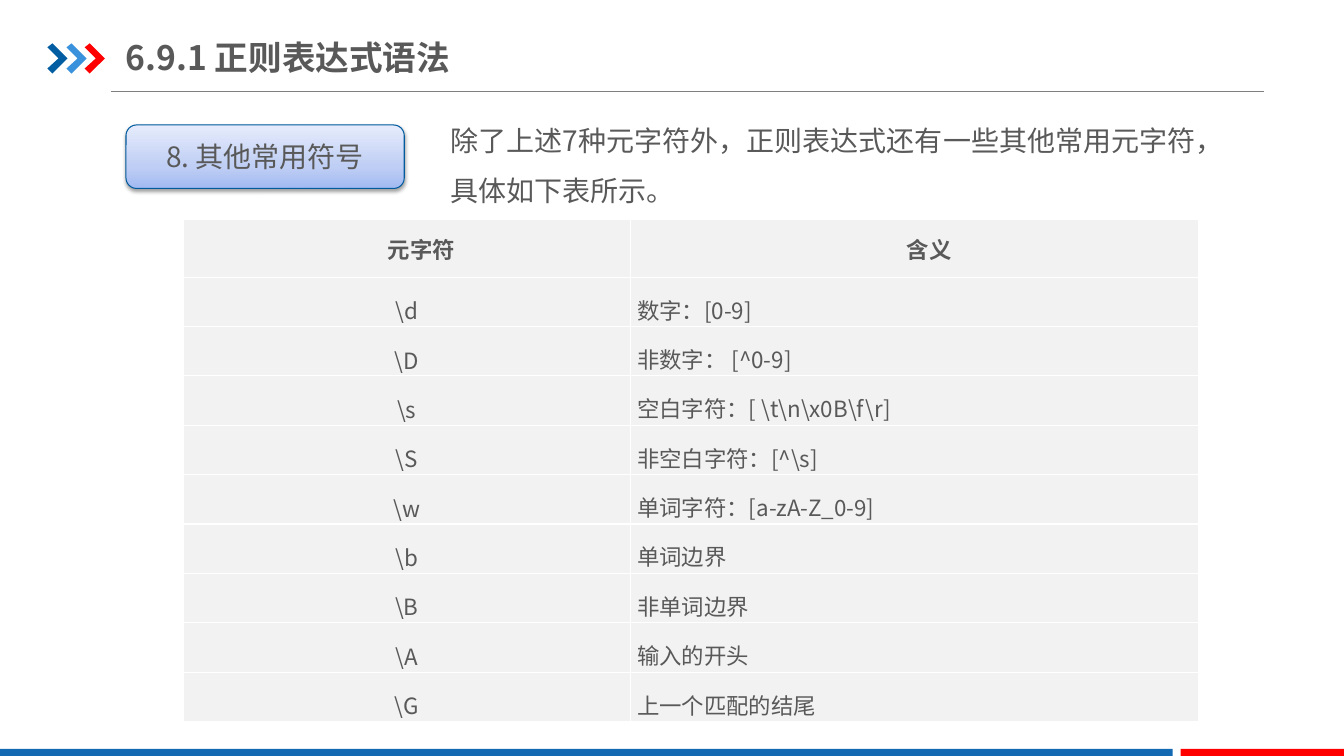
from dataclasses import dataclass

from lxml import etree
from pptx import Presentation
from pptx.dml.color import RGBColor
from pptx.enum.shapes import MSO_CONNECTOR, MSO_SHAPE
from pptx.enum.text import MSO_ANCHOR, PP_ALIGN
from pptx.oxml.ns import qn
from pptx.util import Inches, Pt

RECTANGLE = MSO_SHAPE.RECTANGLE
ROUNDED = MSO_SHAPE.ROUNDED_RECTANGLE
STRAIGHT = MSO_CONNECTOR.STRAIGHT
MIDDLE = MSO_ANCHOR.MIDDLE
TOP = MSO_ANCHOR.TOP
LEFT = PP_ALIGN.LEFT
CENTER = PP_ALIGN.CENTER


@dataclass(frozen=True)
class Theme:
    font: str = "Noto Sans CJK SC"
    text: str = "595959"
    rule: str = "808080"
    navy: str = "005DA2"
    sky: str = "3992DB"
    red: str = "FF0000"
    footer_blue: str = "1369B2"
    badge_line: str = "005B9E"
    badge_stops: tuple = ((0, "A2BAF2"), (35, "BFCEF4"), (100, "E6ECFC"))
    shadow: str = "000000"
    cell: str = "F2F2F2"
    grid: str = "FFFFFF"
    title_size: int = 24
    body_size: int = 20
    table_size: int = 16


@dataclass(frozen=True)
class Chevron:
    left: float
    color: str


@dataclass(frozen=True)
class FooterBar:
    left: float
    width: float
    color: str


@dataclass(frozen=True)
class Symbol:
    mark: str
    meaning: str


THEME = Theme()
CHEVRONS = (
    Chevron(0.47, THEME.navy),
    Chevron(0.66, THEME.sky),
    Chevron(0.84, THEME.red),
)
CHEVRON_OUTLINE = ((0, 0.47), (0.05, 0.43), (0.2, 0.58), (0.05, 0.73), (0, 0.68), (0.11, 0.58))
FOOTER_BARS = (
    FooterBar(0, 11.63, THEME.footer_blue),
    FooterBar(11.71, 1.63, THEME.red),
)
SYMBOLS = (
    Symbol(r"\d", "数字：[0-9]"),
    Symbol(r"\D", "非数字： [^0-9]"),
    Symbol(r"\s", r"空白字符：[ \t\n\x0B\f\r]"),
    Symbol(r"\S", r"非空白字符：[^\s]"),
    Symbol(r"\w", "单词字符：[a-zA-Z_0-9]"),
    Symbol(r"\b", "单词边界"),
    Symbol(r"\B", "非单词边界"),
    Symbol(r"\A", "输入的开头"),
    Symbol(r"\G", "上一个匹配的结尾"),
)


def rgb(color: str) -> RGBColor:
    return RGBColor.from_string(color)


def add_color(parent, color: str):
    return etree.SubElement(parent, qn("a:srgbClr"), val=color)


def write(frame, text: str, size: int, bold: bool = False, align=LEFT, spacing: float = 1.0) -> None:
    frame.word_wrap = True
    paragraph = frame.paragraphs[0]
    paragraph.alignment = align
    paragraph.line_spacing = spacing
    run = paragraph.add_run()
    run.text = text
    run.font.size = Pt(size)
    run.font.bold = bold
    run.font.name = THEME.font
    run.font.color.rgb = rgb(THEME.text)
    etree.SubElement(run.font._element, qn("a:ea"), typeface=THEME.font)


def paint(shape, color: str) -> None:
    shape.shadow.inherit = False
    shape.fill.solid()
    shape.fill.fore_color.rgb = rgb(color)
    shape.line.fill.background()


def add_frame(slide) -> None:
    rule = slide.shapes.add_connector(STRAIGHT, Inches(1.1), Inches(0.91), Inches(12.54), Inches(0.91))
    rule.line.color.rgb = rgb(THEME.rule)
    rule.line.width = Pt(0.75)
    etree.SubElement(rule._element.spPr, qn("a:effectLst"))
    for chevron in CHEVRONS:
        points = [(Inches(chevron.left + x), Inches(y)) for x, y in CHEVRON_OUTLINE]
        builder = slide.shapes.build_freeform(*points[0])
        builder.add_line_segments(points[1:], close=True)
        paint(builder.convert_to_shape(), chevron.color)
    for bar in FOOTER_BARS:
        strip = slide.shapes.add_shape(
            RECTANGLE, Inches(bar.left), Inches(7.43), Inches(bar.width), Inches(0.09)
        )
        paint(strip, bar.color)


def add_heading(slide) -> None:
    title = slide.shapes.add_textbox(Inches(1.25), Inches(0.29), Inches(4.26), Inches(0.55)).text_frame
    title.margin_left = title.margin_right = 0
    title.margin_top = title.margin_bottom = Inches(0.07)
    title.vertical_anchor = MIDDLE
    write(title, "6.9.1 正则表达式语法", THEME.title_size, bold=True)
    intro = slide.shapes.add_textbox(Inches(4.37), Inches(1.01), Inches(7.89), Inches(1.11))
    write(
        intro.text_frame,
        "除了上述7种元字符外，正则表达式还有一些其他常用元字符，具体如下表所示。",
        THEME.body_size,
        spacing=1.5,
    )


def add_badge(slide) -> None:
    badge = slide.shapes.add_shape(ROUNDED, Inches(1.25), Inches(1.24), Inches(2.76), Inches(0.63))
    badge.shadow.inherit = False
    badge.line.color.rgb = rgb(THEME.badge_line)
    badge.line.width = Pt(0.75)
    badge.fill.gradient()
    properties = badge._element.spPr
    gradient = properties.find(qn("a:gradFill"))
    stops = gradient.find(qn("a:gsLst"))
    for stop in list(stops):
        stops.remove(stop)
    for position, color in THEME.badge_stops:
        add_color(etree.SubElement(stops, qn("a:gs"), pos=str(position * 1000)), color)
    gradient.find(qn("a:lin")).set("ang", str(270 * 60000))
    shadow = etree.SubElement(
        properties.find(qn("a:effectLst")),
        qn("a:outerShdw"),
        blurRad=str(Pt(3.1)),
        dist=str(Pt(1.6)),
        dir=str(90 * 60000),
        rotWithShape="0",
    )
    etree.SubElement(add_color(shadow, THEME.shadow), qn("a:alpha"), val="38000")
    badge.text_frame.vertical_anchor = MIDDLE
    write(badge.text_frame, "8. 其他常用符号", THEME.body_size, align=CENTER)


def style_cell(cell, anchor) -> None:
    cell.margin_left = cell.margin_right = Inches(0.07)
    cell.margin_top = cell.margin_bottom = 0
    cell.vertical_anchor = anchor
    properties = cell._tc.get_or_add_tcPr()
    for side in ("a:lnL", "a:lnR", "a:lnT", "a:lnB"):
        border = etree.SubElement(properties, qn(side), w=str(Pt(1)))
        add_color(etree.SubElement(border, qn("a:solidFill")), THEME.grid)
    cell.fill.solid()
    cell.fill.fore_color.rgb = rgb(THEME.cell)


def add_symbol_table(slide) -> None:
    table = slide.shapes.add_table(
        len(SYMBOLS) + 1, 2, Inches(1.82), Inches(2.18), Inches(10.07), Inches(4.98)
    ).table
    table.first_row = table.horz_banding = False
    for column, width in zip(table.columns, (4.43, 5.64)):
        column.width = Inches(width)
    for index, row in enumerate(table.rows):
        row.height = Inches(0.49 if index else 0.57)
    for column, label in enumerate(("元字符", "含义")):
        cell = table.cell(0, column)
        style_cell(cell, MIDDLE)
        write(cell.text_frame, label, THEME.table_size, bold=True, align=CENTER)
        properties = cell.text_frame.paragraphs[0]._p.get_or_add_pPr()
        properties.set("indent", str(Inches(0.29)))
    for row, symbol in enumerate(SYMBOLS, start=1):
        mark, meaning = table.cell(row, 0), table.cell(row, 1)
        style_cell(mark, MIDDLE)
        write(mark.text_frame, symbol.mark, THEME.table_size, align=CENTER, spacing=1.5)
        style_cell(meaning, TOP)
        write(meaning.text_frame, symbol.meaning, THEME.table_size, spacing=1.5)


def main() -> None:
    deck = Presentation()
    deck.slide_width, deck.slide_height = Inches(13.33), Inches(7.5)
    slide = deck.slides.add_slide(deck.slide_layouts[6])
    add_frame(slide)
    add_heading(slide)
    add_badge(slide)
    add_symbol_table(slide)
    deck.save("out.pptx")


if __name__ == "__main__":
    main()
